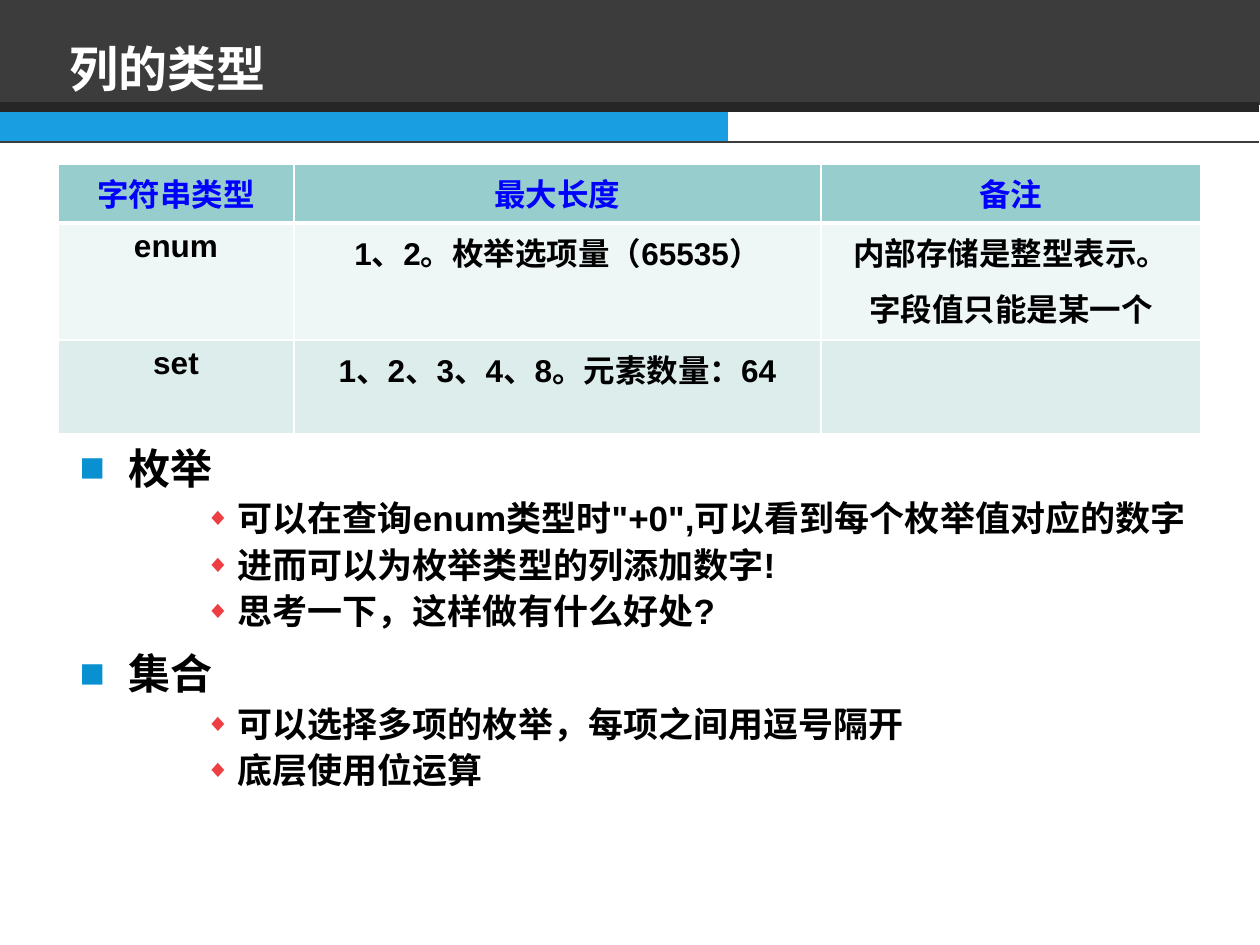
from lxml import etree
from pptx import Presentation, util as u
from pptx.dml.color import RGBColor
from pptx.enum import shapes, text
from pptx.oxml.ns import qn

PX = 914400 / 126
WHITE = RGBColor(0xFF, 0xFF, 0xFF)
BLACK = RGBColor(0, 0, 0)
CHARCOAL = RGBColor(0x3C, 0x3C, 0x3C)
DARK_EDGE = RGBColor(0x26, 0x26, 0x26)
ACCENT_BLUE = RGBColor(0x19, 0x9E, 0xE1)
HEADER_TEXT = RGBColor(0, 0, 0xFF)
ROW_FILLS = [RGBColor(0x97, 0xCD, 0xCC), RGBColor(0xEF, 0xF6, 0xF6), RGBColor(0xDD, 0xED, 0xEC)]
SQUARE_BLUE = RGBColor(0x08, 0x90, 0xD0)
DIAMOND_RED = RGBColor(0xED, 0x3E, 0x43)
CJK, LATIN = "Noto Sans CJK SC", "Arial"


def px(*lengths):
    return [u.Emu(round(n * PX)) for n in lengths]


def set_font(paragraph, name, size, color):
    font = paragraph.font
    font.name, font.size, font.bold = name, u.Pt(size), True
    font.color.rgb = color
    latin = font._element.find(qn("a:latin"))
    east_asian = etree.Element(qn("a:ea"), typeface=CJK)
    latin.addnext(east_asian)


prs = Presentation()
prs.slide_width, prs.slide_height = px(1260, 945)
slide = prs.slides.add_slide(prs.slide_layouts[1])
title, topics = slide.placeholders

# Header bands
for box, color in [((-1, -1, 1261, 106), CHARCOAL), ((-1, 107, 729, 36), ACCENT_BLUE)]:
    band = slide.shapes.add_shape(shapes.MSO_SHAPE.RECTANGLE, *px(*box))
    band.shadow.inherit = False
    band.fill.solid()
    band.fill.fore_color.rgb = color
    band.line.fill.background()

# Header rules
for y, color, width in [(142, CHARCOAL, 1.5), (107, DARK_EDGE, 5.5)]:
    rule = slide.shapes.add_connector(shapes.MSO_CONNECTOR.STRAIGHT, *px(-1, y, 1259, y))
    rule.line.color.rgb = color
    rule.line.width = u.Pt(width)
    etree.SubElement(rule._element.spPr, qn("a:effectLst"))

# Title, brought in front of the bands
slide.shapes._spTree.append(title._element)
title.left, title.top, title.width, title.height = px(57, 6, 1143, 98)
title.text_frame.text = "列的类型"
title.text_frame.vertical_anchor = text.MSO_ANCHOR.BOTTOM
title.text_frame.auto_size = text.MSO_AUTO_SIZE.NONE
heading = title.text_frame.paragraphs[0]
heading.alignment = text.PP_ALIGN.LEFT
heading.line_spacing = 0.9
set_font(heading, CJK, 28, WHITE)

# Column type table
type_rows = [
    ["字符串类型", "最大长度", "备注"],
    ["enum", "1、2。枚举选项量（65535）", "内部存储是整型表示。\n字段值只能是某一个"],
    ["set", "1、2、3、4、8。元素数量：64", ""],
]
type_table = slide.shapes.add_table(3, 3, *px(58, 164, 1143, 238)).table
for column, width in zip(type_table.columns, px(236, 527, 380)):
    column.width = width
for row, height in zip(type_table.rows, px(59, 117, 62)):
    row.height = height
for r, entries in enumerate(type_rows):
    edges = {"lnL": 1, "lnR": 1, "lnT": 3 if r == 1 else 1, "lnB": 3 if r == 0 else 1}
    for c, entry in enumerate(entries):
        cell = type_table.cell(r, c)
        cell.text = entry
        cell_props = cell._tc.get_or_add_tcPr()
        for edge, width in edges.items():
            border = etree.SubElement(cell_props, qn(f"a:{edge}"), w=str(u.Pt(width)))
            paint = etree.SubElement(border, qn("a:solidFill"))
            etree.SubElement(paint, qn("a:srgbClr"), val=str(WHITE))
        cell.fill.solid()
        cell.fill.fore_color.rgb = ROW_FILLS[r]
        for paragraph in cell.text_frame.paragraphs:
            paragraph.alignment = text.PP_ALIGN.CENTER
            paragraph.space_before = u.Pt(6)
            set_font(paragraph, LATIN, 18, BLACK if r else HEADER_TEXT)

# Topics and their points
outline = [
    (0, "枚举"),
    (2, "可以在查询enum类型时\"+0\",可以看到每个枚举值对应的数字"),
    (2, "进而可以为枚举类型的列添加数字!"),
    (2, "思考一下，这样做有什么好处?"),
    (0, "集合"),
    (2, "可以选择多项的枚举，每项之间用逗号隔开"),
    (2, "底层使用位运算"),
]
# level: indent, hang, line spacing, space before, bullet, bullet %, bullet colour, font, size
level_styles = {
    0: (49, 49, 1.1, 6, "■", 100, SQUARE_BLUE, CJK, 24),
    2: (158, 32, 0.9, 5, "◆", 70, DIAMOND_RED, LATIN, 20),
}
slide.shapes._spTree.append(topics._element)
topics.left, topics.top, topics.width, topics.height = px(67, 431, 1133, 397)
topics.text_frame.text = "\n".join(line for _, line in outline)
topics.text_frame.auto_size = text.MSO_AUTO_SIZE.NONE
for paragraph, (level, _) in zip(topics.text_frame.paragraphs, outline):
    indent, hang, spacing, before, mark, percent, mark_color, face, size = level_styles[level]
    paragraph.level = level
    paragraph.alignment = text.PP_ALIGN.LEFT if level else text.PP_ALIGN.JUSTIFY
    paragraph.line_spacing = spacing
    paragraph.space_before = u.Pt(before)
    props = paragraph._p.get_or_add_pPr()
    left, first = px(indent, -hang)
    props.set("marL", str(left))
    props.set("indent", str(first))
    bullet_color = etree.SubElement(props, qn("a:buClr"))
    etree.SubElement(bullet_color, qn("a:srgbClr"), val=str(mark_color))
    etree.SubElement(props, qn("a:buSzPct"), val=str(percent * 1000))
    etree.SubElement(props, qn("a:buFont"), typeface=LATIN)
    etree.SubElement(props, qn("a:buChar"), char=mark)
    set_font(paragraph, face, size, BLACK)

prs.save("out.pptx")
